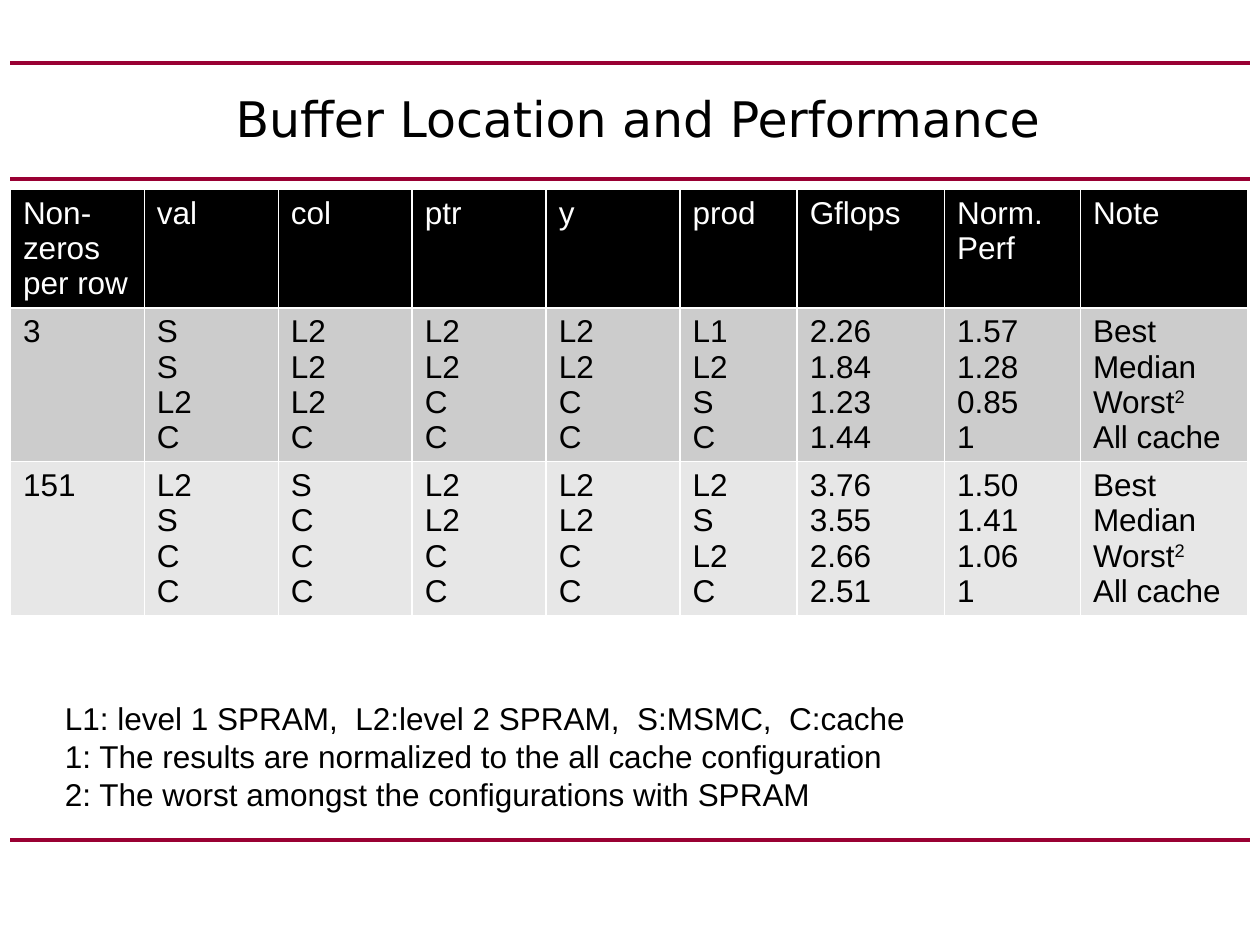
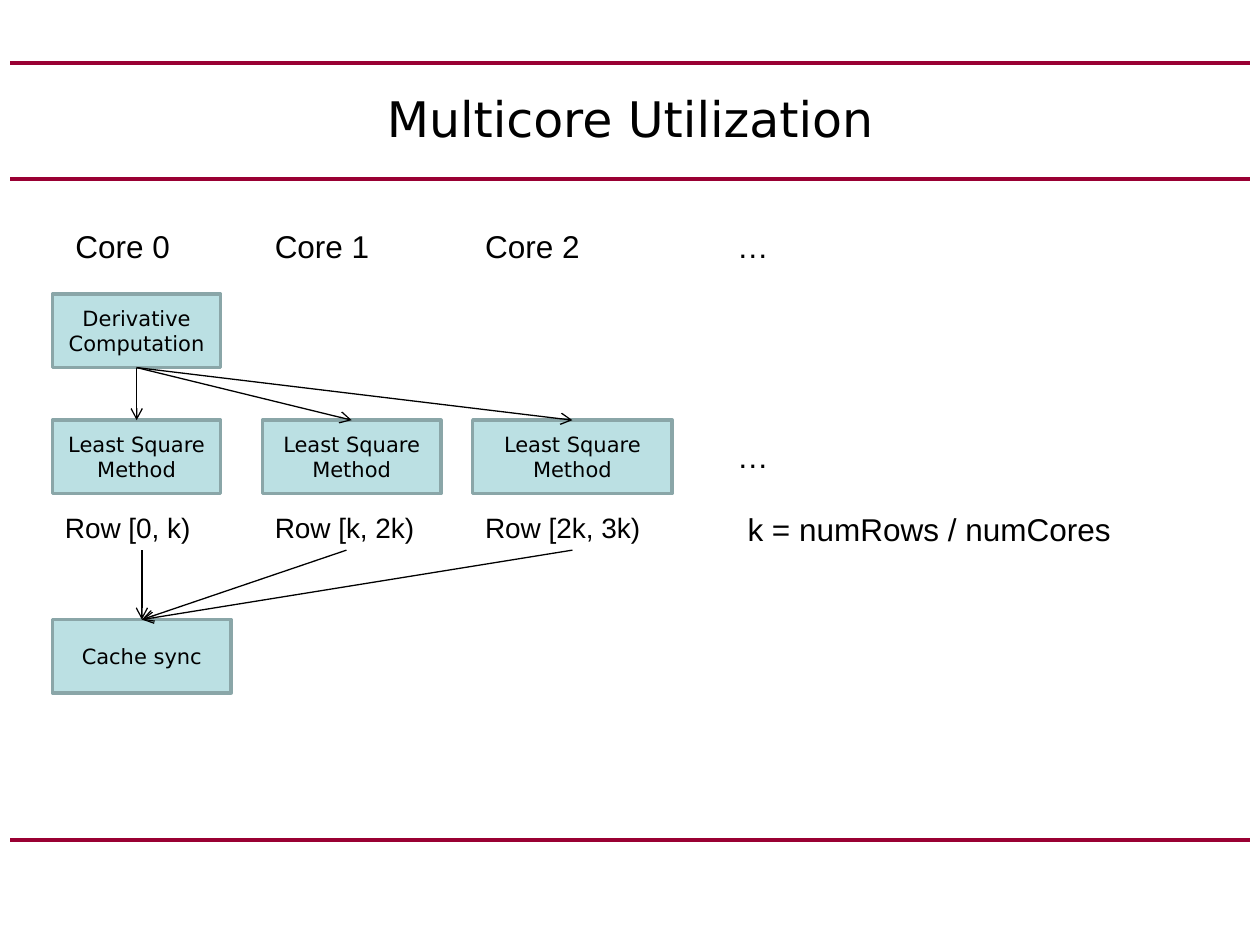
from dataclasses import dataclass

from lxml import etree
from pptx import Presentation
from pptx import util as u
from pptx.dml.color import RGBColor
from pptx.enum import shapes, text
from pptx.oxml import ns


@dataclass(frozen=True)
class Theme:
    ink: str = "000000"
    paper: str = "FFFFFF"
    rule: str = "990033"
    box_fill: str = "BBE0E3"
    box_edge: str = "8AA6A8"
    row_fills: tuple = ("000000", "CCCCCC", "E7E7E7")
    title_font: str = "DejaVu Sans"
    body_font: str = "Arial"
    title_size: int = 28
    body_size: int = 18
    label_size: int = 16
    box_size: int = 12


# Connection sites of a rectangle
TOP, BOTTOM = 0, 2


class SlideBuilder:
    """Holds the deck, its theme and the slide being drawn."""

    def __init__(self, deck, theme):
        self.deck, self.theme, self.page = deck, theme, None

    def new_page(self, title):
        self.page = self.deck.slides.add_slide(self.deck.slide_layouts[6])
        for y in (16.93, 3.6, 1.27):
            self.line((0.21, y), (25.19, y), self.theme.rule, 2.25)
        box = self.text(title, 1.27, 1.27, 22.86, 2.2)
        box.text_frame.auto_size = text.MSO_AUTO_SIZE.NONE
        self.centre(box.text_frame, self.theme.title_size)

    def style(self, frame, font, size, colour):
        for para in frame.paragraphs:
            for span in para.runs:
                span.font.name = font
                span.font.size = u.Pt(size)
                span.font.bold = False
                span.font.color.rgb = RGBColor.from_string(colour)

    def centre(self, frame, size):
        frame.vertical_anchor = text.MSO_ANCHOR.MIDDLE
        for para in frame.paragraphs:
            para.alignment = text.PP_ALIGN.CENTER
        self.style(frame, self.theme.title_font, size, self.theme.ink)

    def text(self, words, left, top, width, height, size=None):
        box = self.page.shapes.add_textbox(*map(u.Cm, (left, top, width, height)))
        frame = box.text_frame
        frame.word_wrap = True
        frame.auto_size = text.MSO_AUTO_SIZE.SHAPE_TO_FIT_TEXT
        frame.text = words
        self.style(frame, self.theme.body_font, size or self.theme.body_size, self.theme.ink)
        return box

    def box(self, words, left, top, width, height=1.48):
        box = self.page.shapes.add_shape(
            shapes.MSO_SHAPE.RECTANGLE, *map(u.Cm, (left, top, width, height)))
        box.shadow.inherit = False
        box.fill.solid()
        box.fill.fore_color.rgb = RGBColor.from_string(self.theme.box_fill)
        box.line.color.rgb = RGBColor.from_string(self.theme.box_edge)
        box.line.width = u.Pt(2)
        box.text_frame.word_wrap = True
        box.text_frame.text = words
        self.centre(box.text_frame, self.theme.box_size)
        return box

    def line(self, start, end, colour, width):
        line = self.page.shapes.add_connector(
            shapes.MSO_CONNECTOR.STRAIGHT, *map(u.Cm, (*start, *end)))
        line.line.color.rgb = RGBColor.from_string(colour)
        line.line.width = u.Pt(width)
        etree.SubElement(line._element.spPr, ns.qn("a:effectLst"))
        return line

    def arrow(self, source, target):
        arrow = self.line((0, 0), (0, 0), self.theme.ink, 0.75)
        arrow.begin_connect(source, BOTTOM)
        arrow.end_connect(target, TOP)
        etree.SubElement(arrow.line._get_or_add_ln(), ns.qn("a:tailEnd"), type="arrow")

    def table(self, rows, left, top, widths, heights):
        frame = self.page.shapes.add_table(
            len(rows), len(widths), u.Cm(left), u.Cm(top),
            u.Cm(sum(widths)), u.Cm(sum(heights)))
        table = frame.table
        for column, width in zip(table.columns, widths):
            column.width = u.Cm(width)
        for row, height in zip(table.rows, heights):
            row.height = u.Cm(height)
        for r, row in enumerate(rows):
            for c, words in enumerate(row):
                self.cell(table.cell(r, c), words, self.theme.row_fills[r],
                          self.theme.ink if r else self.theme.paper)

    def cell(self, cell, words, fill, colour):
        cell.text_frame.text = words
        for para in cell.text_frame.paragraphs:
            # A caret marks a superscript
            base, _, raised = para.text.partition("^")
            if raised:
                para.text = base
                span = para.add_run()
                span.text = raised
                span._r.get_or_add_rPr().set("baseline", "30000")
        self.style(cell.text_frame, self.theme.body_font, self.theme.body_size, colour)
        props = cell._tc.get_or_add_tcPr()
        for side in ("lnL", "lnR", "lnT", "lnB"):
            edge = etree.SubElement(props, ns.qn(f"a:{side}"), w=str(u.Pt(1)))
            paint = etree.SubElement(edge, ns.qn("a:solidFill"))
            etree.SubElement(paint, ns.qn("a:srgbClr"), val=self.theme.paper)
        cell.fill.solid()
        cell.fill.fore_color.rgb = RGBColor.from_string(fill)


def stacked(*values):
    """One cell per column, each listing its values line by line."""
    return ["\n".join(value.split(" ")) for value in values]


def performance_page(builder):
    builder.new_page(" Buffer Location and Performance")
    notes = "Best\nMedian\nWorst^2\nAll cache"
    rows = [
        ["Non-zeros per row", "val", "col", "ptr", "y", "prod", "Gflops", "Norm. Perf", "Note"],
        stacked("3", "S S L2 C", "L2 L2 L2 C", "L2 L2 C C", "L2 L2 C C", "L1 L2 S C",
                "2.26 1.84 1.23 1.44", "1.57 1.28 0.85 1") + [notes],
        stacked("151", "L2 S C C", "S C C C", "L2 L2 C C", "L2 L2 C C", "L2 S L2 C",
                "3.76 3.55 2.66 2.51", "1.50 1.41 1.06 1") + [notes],
    ]
    builder.table(rows, 0.21, 3.82, [2.7] * 5 + [2.36, 2.97, 2.74, 3.38], [2.36, 3.1, 3.1])
    builder.text(
        "L1: level 1 SPRAM,  L2:level 2 SPRAM,  S:MSMC,  C:cache\n"
        "1: The results are normalized to the all cache configuration\n"
        "2: The worst amongst the configurations with SPRAM",
        1.06, 13.97, 23.92, 2.57)


def multicore_page(builder):
    builder.new_page("Multicore Utilization")
    derivative = builder.box("Derivative Computation", 1.06, 5.93, 3.39)
    cache_sync = builder.box("Cache sync", 1.06, 12.49, 3.6)

    # Per core: heading left, column left, box width, row label, label width
    cores = [
        (1.27, 1.06, 3.39, "Row [0, k)", 3.6),
        (5.29, 5.29, 3.6, "Row [k, 2k)", 3.39),
        (9.53, 9.53, 4.02, "Row [2k, 3k)", 4.02),
    ]
    for number, (heading_left, left, width, rows, rows_width) in enumerate(cores):
        builder.text(f"Core {number}", heading_left, 4.45, 2.96, 1.03)
        method = builder.box("Least Square Method", left, 8.47, width)
        label = builder.text(rows, left, 10.16, rows_width, 0.93, builder.theme.label_size)
        builder.arrow(derivative, method)
        builder.arrow(label, cache_sync)

    # Further cores and the row count
    for top in (4.45, 8.68):
        builder.text("…", 14.61, top, 2.96, 1.03)
    builder.text("k = numRows / numCores", 14.82, 10.16, 8.26, 1.03)


def main():
    deck = Presentation()
    deck.slide_width, deck.slide_height = u.Cm(25.4), u.Cm(19.05)
    builder = SlideBuilder(deck, Theme())
    performance_page(builder)
    multicore_page(builder)
    deck.save("out.pptx")


if __name__ == "__main__":
    main()
